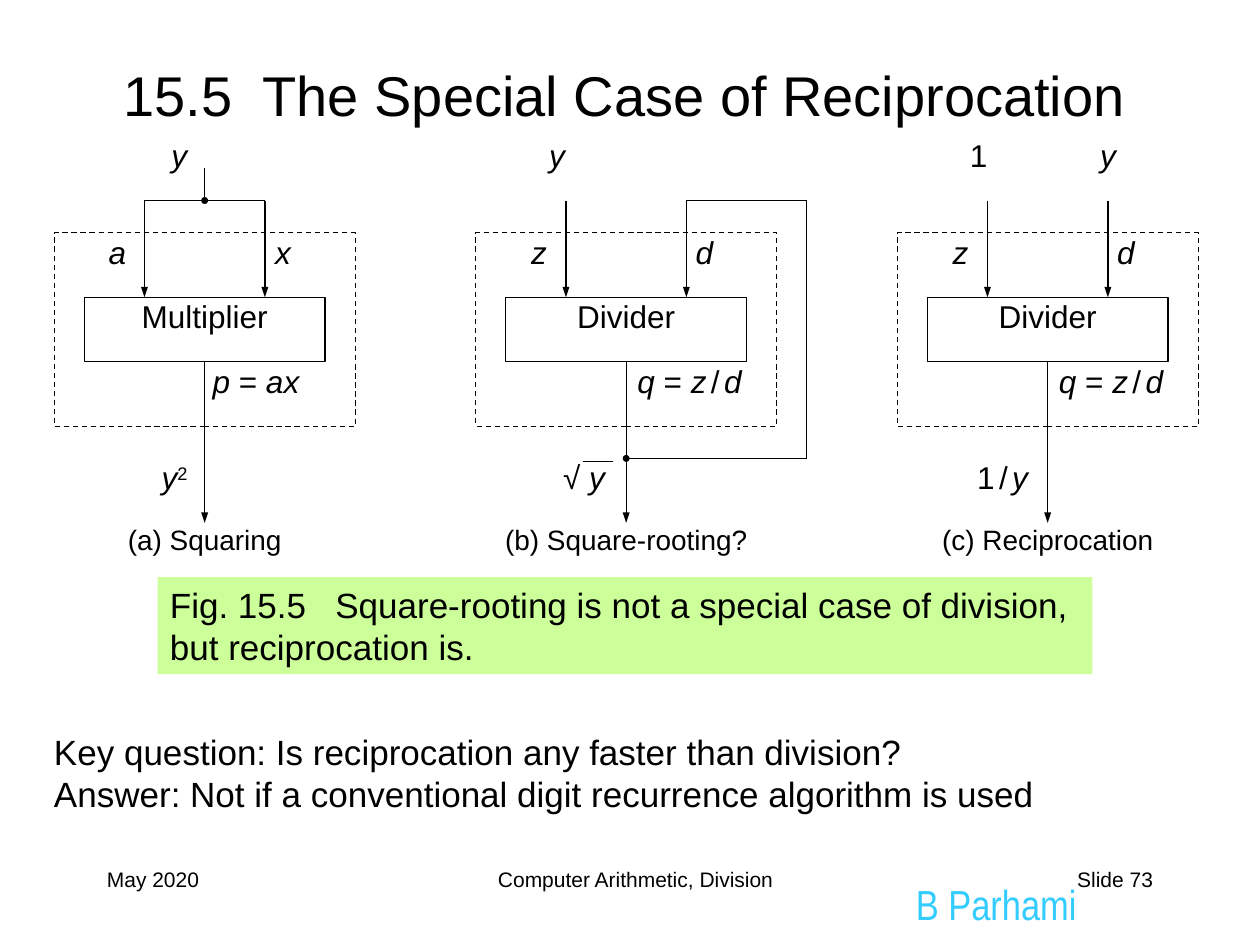
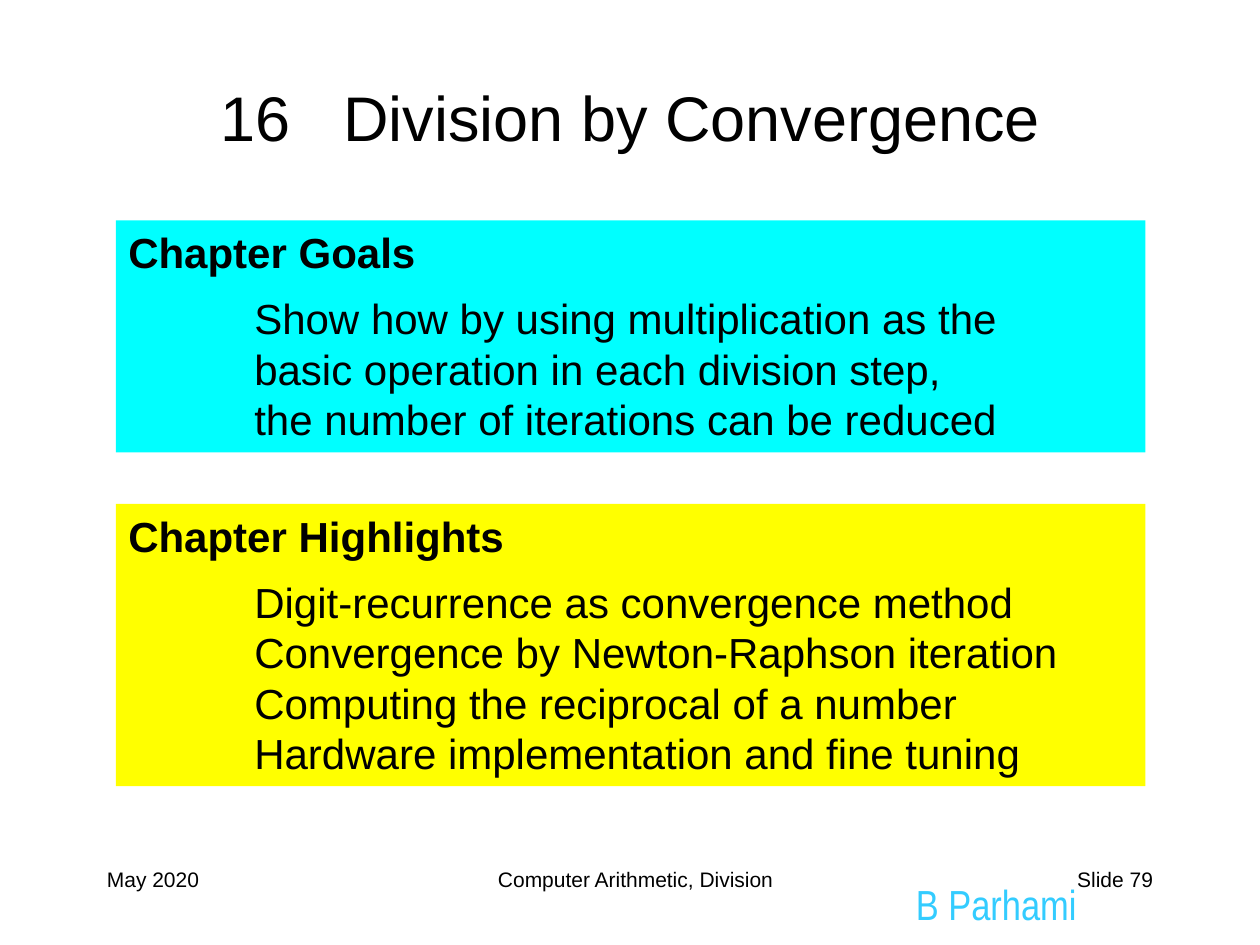
from lxml import etree
from pptx import Presentation
from pptx.dml.color import RGBColor
from pptx.enum.dml import MSO_LINE_DASH_STYLE as DASH
from pptx.enum.shapes import MSO_CONNECTOR, MSO_SHAPE
from pptx.enum.text import MSO_ANCHOR as ANCHOR, MSO_AUTO_SIZE as AUTO_SIZE, PP_ALIGN as ALIGN
from pptx.oxml.ns import qn
from pptx.util import Inches, Pt

COLORS = {"ink": "000000", "paper": "FFFFFF", "author": "33CCFF",
          "caption": "CCFF99", "goals": "00FFFF", "highlights": "FFFF00"}
LINE_WIDTH = Pt(0.75)

# Figure grid: three panels of 10 columns with gaps of 4, on 12 rows
GRID_LEFT, GRID_TOP = 0.43, 1.08
COLUMN, ROW = 9.08 / 38, 3.07 / 12
PANEL_STEP = 14


def place_text(page, area, lines, size=18, align=ALIGN.LEFT, font="Arial", color="ink",
               fill=None, border=False, inset=True, wrap=True, heading=False, box=None):
    """Write lines (strings or lists of styled spans) in a box at area, in inches."""
    area = [Inches(length) for length in area]
    if box is not None:
        box.left, box.top, box.width, box.height = area
    elif fill:
        box = page.shapes.add_shape(MSO_SHAPE.RECTANGLE, *area)
        box.shadow.inherit = False
        box.fill.solid()
        box.fill.fore_color.rgb = RGBColor.from_string(COLORS[fill])
        if border:
            box.line.color.rgb = RGBColor.from_string(COLORS["ink"])
            box.line.width = LINE_WIDTH
        else:
            box.line.fill.background()
    else:
        box = page.shapes.add_textbox(*area)
    frame = box.text_frame
    frame.word_wrap = wrap
    frame.auto_size = AUTO_SIZE.NONE
    frame.vertical_anchor = ANCHOR.MIDDLE if box.is_placeholder else ANCHOR.TOP
    if not inset:
        frame.margin_left = frame.margin_top = frame.margin_right = frame.margin_bottom = 0
    for index, line in enumerate(lines):
        para = frame.add_paragraph() if index else frame.paragraphs[0]
        para.alignment = align
        if heading and index:
            para._p.get_or_add_pPr().set("marL", str(Inches(1)))
            para.space_before = Pt(9 if index == 1 else 0)
        for text, style in [(line, "")] if isinstance(line, str) else line:
            span = para.add_run()
            span.text = text
            span.font.name = font
            span.font.size = Pt(9 if style == "thin" else size)
            span.font.bold = heading and index == 0
            span.font.italic = style == "italic"
            span.font.color.rgb = RGBColor.from_string(COLORS[color])
            if style == "super":
                span.font._element.set("baseline", "30000")
    return box


def add_wire(page, start, end, dot=False, arrow=False):
    """Join two (column, row) points of the figure grid."""
    ends = [Inches(length) for column, row in (start, end)
            for length in (GRID_LEFT + column * COLUMN, GRID_TOP + row * ROW)]
    wire = page.shapes.add_connector(MSO_CONNECTOR.STRAIGHT, *ends)
    wire.line.color.rgb = RGBColor.from_string(COLORS["ink"])
    wire.line.width = LINE_WIDTH
    stroke = wire.line._get_or_add_ln()
    if dot:
        etree.SubElement(stroke, qn("a:headEnd"), type="oval", w="sm", len="sm")
    if arrow:
        etree.SubElement(stroke, qn("a:tailEnd"), type="triangle", w="sm", len="med")
    etree.SubElement(wire._element.spPr, qn("a:effectLst"))
    return wire


deck = Presentation()
deck.slide_width, deck.slide_height = Inches(10), Inches(7.5)

# Titles and footers
pages = []
for number, title, size, area in [
    (73, "15.5  The Special Case of Reciprocation", 32, (0.42, 0.25, 9.08, 1)),
    (79, "16   Division by Convergence", 36, (0.42, 0.42, 9.17, 1)),
]:
    page = deck.slides.add_slide(deck.slide_layouts[5])
    pages.append(page)
    place_text(page, (7.17, 6.92, 1.08, 0.42), ["B Parhami"], size=24,
               font="Arial Narrow", color="author", wrap=False)
    for left, width, align, text in [
        (0.75, 2.08, ALIGN.LEFT, "May 2020"),
        (2.42, 5.25, ALIGN.CENTER, "Computer Arithmetic, Division"),
        (7.17, 2.08, ALIGN.RIGHT, f"Slide {number}"),
    ]:
        place_text(page, (left, 6.83, width, 0.5), [text], size=12, align=align)
    place_text(page, area, [title], size=size, align=ALIGN.CENTER, box=page.shapes.title)

figure_page, chapter_page = pages

# Figure panels; each label is (spans, centre column, top row)
quotient = [("q", "italic"), (" = ", ""), ("z", "italic"), (" ", "thin"),
            ("/", ""), (" ", "thin"), ("d", "italic")]
panels = [
    ("Multiplier", "(a) Squaring", [
        ([("y", "italic")], 4.15, 0),
        ([("a", "italic")], 2.1, 3),
        ([("x", "italic")], 7.6, 3),
        ([("p", "italic"), (" = ", ""), ("ax", "italic")], 6.7, 7),
        ([("y", "italic"), ("2", "super")], 4, 10),
    ]),
    ("Divider", "(b) Square-rooting?", [
        ([("y", "italic")], 2.7, 0),
        ([("z", "italic")], 2.1, 3),
        ([("d", "italic")], 7.6, 3),
        (quotient, 7.1, 7),
        ([("√ ", ""), ("y", "italic")], 3.6, 10),
    ]),
    ("Divider", "(c) Reciprocation", [
        ([("1", "")], 2.7, 0),
        ([("y", "italic")], 7, 0),
        ([("z", "italic")], 2.1, 3),
        ([("d", "italic")], 7.6, 3),
        (quotient, 7.1, 7),
        ([("1", ""), (" ", "thin"), ("/", ""), (" ", "thin"), ("y", "italic")], 3.5, 10),
    ]),
]
for index, (unit, caption, labels) in enumerate(panels):
    first = index * PANEL_STEP
    left = GRID_LEFT + first * COLUMN

    # Dashed frame
    frame_box = figure_page.shapes.add_shape(
        MSO_SHAPE.RECTANGLE, Inches(left), Inches(GRID_TOP + 3 * ROW),
        Inches(10 * COLUMN), Inches(6 * ROW))
    frame_box.shadow.inherit = False
    frame_box.fill.background()
    frame_box.line.color.rgb = RGBColor.from_string(COLORS["ink"])
    frame_box.line.width = LINE_WIDTH
    frame_box.line.dash_style = DASH.DASH

    # Arithmetic unit with two inputs and one output
    unit_box = place_text(figure_page, (left + COLUMN, GRID_TOP + 5 * ROW, 8 * COLUMN, 2 * ROW),
                          [unit], align=ALIGN.CENTER, fill="paper", border=True, inset=False)
    for column in (3, 7):
        add_wire(figure_page, (first + column, 2), (first + column, 5), arrow=True)
    output = add_wire(figure_page, (first + 5, 7), (first + 5, 12), arrow=True)
    output.begin_connect(unit_box, 2)

    # Labels and caption
    for spans, center, row in labels:
        place_text(figure_page, (left + (center - 2.5) * COLUMN, GRID_TOP + row * ROW,
                                 5 * COLUMN, 2 * ROW), [spans], align=ALIGN.CENTER, inset=False)
    place_text(figure_page, (left, GRID_TOP + 12 * ROW, 10 * COLUMN, 2 * ROW),
               [caption], size=16, align=ALIGN.CENTER, inset=False)

# Shared input of the multiplier
add_wire(figure_page, (3, 2), (7, 2))
add_wire(figure_page, (5, 2), (5, 1), dot=True)

# Feedback loop and root bar of the square-rooter
root = PANEL_STEP
add_wire(figure_page, (root + 5, 10), (root + 11, 10), dot=True)
add_wire(figure_page, (root + 11, 2), (root + 11, 10))
add_wire(figure_page, (root + 7, 2), (root + 11, 2))
add_wire(figure_page, (root + 3.55, 10.1), (root + 4.55, 10.1))

# Figure caption and key question
place_text(figure_page, (1.25, 4.58, 7.42, 0.77), [
    "Fig. 15.5   Square-rooting is not a special case of division, but reciprocation is.",
], size=20, fill="caption")
place_text(figure_page, (0.33, 5.75, 9.18, 0.77), [
    "Key question: Is reciprocation any faster than division?",
    "Answer: Not if a conventional digit recurrence algorithm is used",
], size=20)

# Chapter goals and highlights
for top, height, fill, lines in [
    (1.75, 1.84, "goals", [
        "Chapter Goals",
        "Show how by using multiplication as the",
        "basic operation in each division step,",
        "the number of iterations can be reduced",
    ]),
    (4, 2.24, "highlights", [
        "Chapter Highlights",
        "Digit-recurrence as convergence method",
        "Convergence by Newton-Raphson iteration",
        "Computing the reciprocal of a number",
        "Hardware implementation and fine tuning",
    ]),
]:
    place_text(chapter_page, (0.92, top, 8.17, height), lines, size=24, fill=fill, heading=True)

deck.save("out.pptx")
